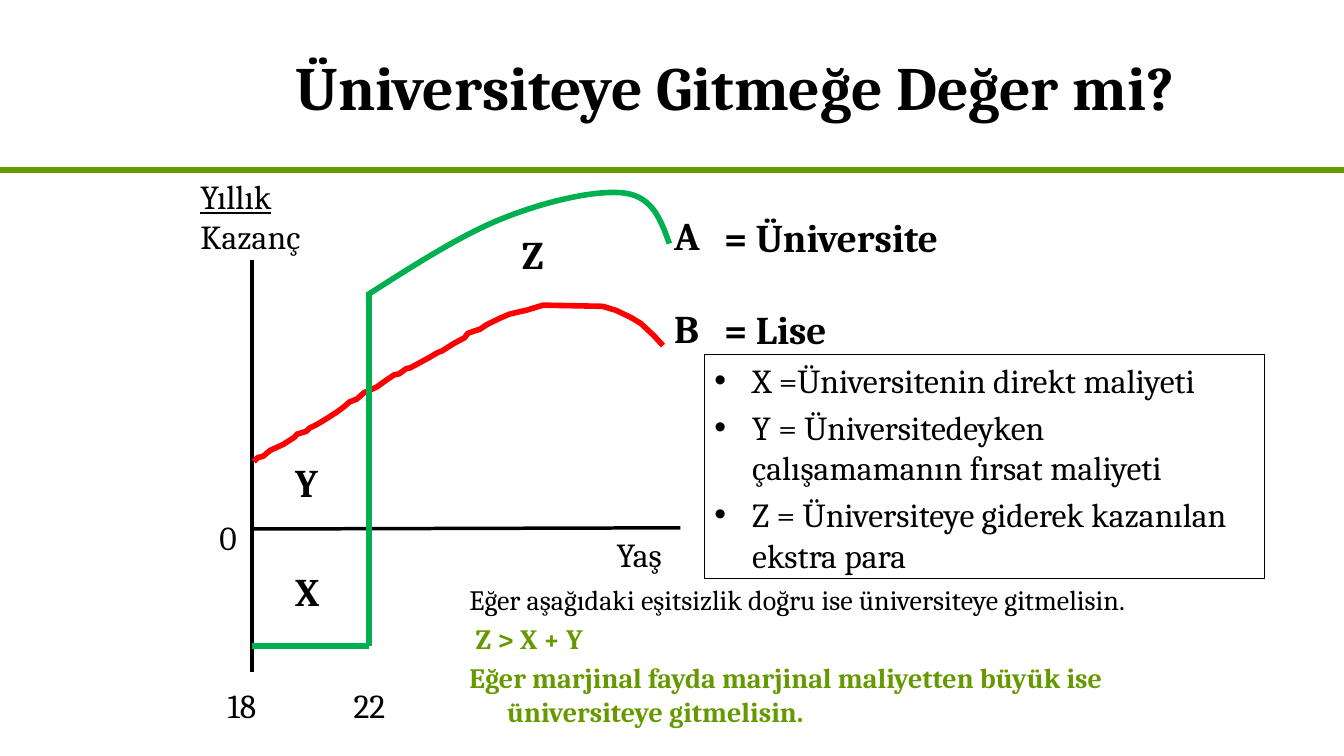
from dataclasses import dataclass

from pptx import Presentation
from pptx.dml.color import RGBColor
from pptx.enum.shapes import MSO_CONNECTOR as Connector
from pptx.enum.text import MSO_ANCHOR as Anchor, MSO_AUTO_SIZE as AutoSize, PP_ALIGN as Align
from pptx.oxml.ns import qn
from pptx.util import Cm, Pt


@dataclass(frozen=True)
class Theme:
    """Colours, font and type sizes of the slide."""
    font: str = "Cambria"
    ink: str = "000000"
    olive: str = "669900"
    university: str = "00B050"
    school: str = "FF0000"
    title: int = 44
    letter: int = 28
    body: int = 24
    note: int = 20


THEME = Theme()

AXIS_LABELS = [
    ("22", 2.31, 10.59, 1.7, 1.27),
    ("18", -0.86, 10.59, 1.7, 1.27),
    ("Yaş", 8.94, 6.78, 2.34, 1.27),
    ("0", -1.07, 6.35, 1.07, 1.27),
]
CURVE_LABELS = [
    ("X", 0.84, 7.62, 1.7, 1.44),
    ("Y", 0.84, 4.88, 1.7, 1.44),
    ("Z", 6.55, -0.86, 1.7, 1.44),
    ("A", 10.39, -1.35, 1.7, 1.44),
    ("B", 10.39, 0.99, 1.7, 1.44),
    (" = Üniversite", 11.43, -1.3, 6.35, 1.44),
    (" = Lise", 11.43, 1.02, 7.82, 1.44),
]
SCHOOL_EARNINGS = [
    (0.05, 5.08), (0.15, 4.98), (0.28, 4.95), (0.46, 4.8), (0.79, 4.65),
    (1.07, 4.47), (1.14, 4.39), (1.37, 4.32), (1.45, 4.24), (1.65, 4.14),
    (1.9, 3.99), (2.13, 3.84), (2.31, 3.71), (2.46, 3.58), (2.64, 3.51),
    (2.82, 3.35), (3.15, 3.2), (3.33, 3.07), (3.58, 2.9), (3.71, 2.87),
    (3.89, 2.74), (3.99, 2.72), (4.27, 2.57), (4.47, 2.46), (4.67, 2.34),
    (4.8, 2.29), (5.08, 2.11), (5.36, 1.96), (5.44, 1.85), (5.64, 1.78),
    (5.74, 1.75), (5.92, 1.63), (6.25, 1.47), (6.48, 1.37), (6.68, 1.32),
    (6.91, 1.27), (7.24, 1.17), (7.34, 1.14), (8.84, 1.17), (9.17, 1.27),
    (9.55, 1.45), (9.8, 1.6), (9.96, 1.75), (10.13, 1.91), (10.36, 2.16),
]
UNIVERSITY_EARNINGS = [
    [(2.9, 0.89), (4.09, 0.13), (5.28, -0.64), (6.38, -1.07)],
    [(6.38, -1.07), (7.47, -1.5), (8.74, -1.78), (9.42, -1.68)],
    [(9.42, -1.68), (10.11, -1.57), (10.31, -0.99), (10.52, -0.41)],
]


def place(shape, box):
    """Move a shape to a box given in centimetres."""
    for side, length in zip(("left", "top", "width", "height"), box):
        setattr(shape, side, Cm(length))


def write(paragraph, text, size, color=THEME.ink, **formats):
    """Append a formatted run to a paragraph."""
    run = paragraph.add_run()
    run.text = text
    run.font.color.rgb = RGBColor.from_string(color)
    for name, value in {"name": THEME.font, "size": Pt(size), **formats}.items():
        setattr(run.font, name, value)


def set_line(shape, color, width):
    """Give a shape its line colour and width."""
    shape.line.color.rgb = RGBColor.from_string(color)
    shape.line.width = Pt(width)


def add_line(slide, start, end, color, width):
    """Draw a straight line without a shadow."""
    line = slide.shapes.add_connector(
        Connector.STRAIGHT, *(Cm(value) for value in (*start, *end)))
    set_line(line, color, width)
    effects = line._element.spPr
    effects.append(effects.makeelement(qn("a:effectLst"), {}))


def add_curve(slide, points, color):
    """Draw an open curve through points."""
    start, *rest = [(Cm(x), Cm(y)) for x, y in points]
    builder = slide.shapes.build_freeform(*start)
    builder.add_line_segments(rest, close=False)
    curve = builder.convert_to_shape()
    curve.fill.background()
    curve.shadow.inherit = False
    set_line(curve, color, 4)


def add_text(slide, box, auto_size=AutoSize.SHAPE_TO_FIT_TEXT):
    """Add a wrapping text box and return its frame."""
    frame = slide.shapes.add_textbox(*map(Cm, box)).text_frame
    frame.word_wrap = True
    frame.auto_size = auto_size
    return frame


def bezier(p0, p1, p2, p3, steps=16):
    """Return points along a cubic curve, the first one left out."""
    times = [step / steps for step in range(1, steps + 1)]
    return [tuple((1 - t) ** 3 * a + 3 * t * (1 - t) ** 2 * b
                  + 3 * t ** 2 * (1 - t) * c + t ** 3 * d
                  for a, b, c, d in zip(p0, p1, p2, p3)) for t in times]


def fill_heading(slide, box):
    """Place the title and the rule under it."""
    left, top, width, height = box
    heading = slide.shapes.title
    place(heading, box)
    heading.text_frame.vertical_anchor = Anchor.MIDDLE
    paragraph = heading.text_frame.paragraphs[0]
    paragraph.alignment = Align.CENTER
    write(paragraph, "Üniversiteye Gitmeğe Değer mi?", THEME.title, bold=True)
    rule = top + height
    add_line(slide, (0, rule), (left + width, rule), THEME.olive, 4.5)


def fill_legend(slide, box):
    """List the meaning of the areas in an outlined box."""
    legend = slide.placeholders[1]
    place(legend, box)
    set_line(legend, THEME.ink, 0.75)
    frame = legend.text_frame
    frame.auto_size = AutoSize.NONE
    meanings = ["X =Üniversitenin direkt maliyeti",
                "Y = Üniversitedeyken çalışamamanın fırsat maliyeti",
                "Z = Üniversiteye giderek kazanılan ekstra para"]
    for index, meaning in enumerate(meanings):
        paragraph = frame.add_paragraph() if index else frame.paragraphs[0]
        write(paragraph, meaning, THEME.body)


def draw_earnings(slide, box):
    """Draw the earnings diagram with its axes in the box."""
    left, top, width, height = box
    zero, graduation, cost, entry = 6.78, 2.95, 9.73, 0.84

    def at(x, y):
        """Shift a point of the diagram onto the slide."""
        return left + x, top + y

    add_line(slide, at(0, 0), at(0, height), THEME.ink, 2.5)
    add_line(slide, at(0, zero), at(width, zero - 0.03), THEME.ink, 2.5)
    add_curve(slide, [at(*point) for point in SCHOOL_EARNINGS], THEME.school)
    add_line(slide, at(0, cost), at(graduation, cost), THEME.university, 4)
    add_line(slide, at(graduation, cost), at(graduation, entry), THEME.university, 4)
    points = UNIVERSITY_EARNINGS[0][:1]
    for part in UNIVERSITY_EARNINGS:
        points = points + bezier(*part)
    add_curve(slide, [at(*point) for point in points], THEME.university)

    for labels, size, bold in ((AXIS_LABELS, THEME.body, False),
                               (CURVE_LABELS, THEME.letter, True)):
        for text, x, y, *extent in labels:
            frame = add_text(slide, (*at(x, y), *extent))
            write(frame.paragraphs[0], text, size, bold=bold)
    earnings = add_text(slide, (*at(-1.55, -2.24), 4.65, 2.31)).paragraphs[0]
    write(earnings, "Yıllık", THEME.body, underline=True)
    write(earnings, " Kazanç", THEME.body)


def write_conclusion(slide, box):
    """Write the decision rule with hanging indents."""
    frame = add_text(slide, box, AutoSize.NONE)
    lines = [("Eğer aşağıdaki eşitsizlik doğru ise üniversiteye gitmelisin.", THEME.ink, False),
             (" Z > X + Y", THEME.olive, True),
             ("Eğer marjinal fayda marjinal maliyetten büyük ise üniversiteye gitmelisin.",
              THEME.olive, True)]
    for index, (text, color, bold) in enumerate(lines):
        paragraph = frame.add_paragraph() if index else frame.paragraphs[0]
        paragraph.space_before = Pt(THEME.note * 0.2)
        properties = paragraph._p.get_or_add_pPr()
        for name, value in {"marL": Cm(0.95), "indent": Cm(-0.95)}.items():
            properties.set(name, str(int(value)))
        write(paragraph, text, THEME.note, color, bold=bold)


def main():
    """Build the slide and save it."""
    deck = Presentation()
    deck.slide_width, deck.slide_height = Cm(33.87), Cm(19.05)
    slide = deck.slides.add_slide(deck.slide_layouts[1])
    fill_heading(slide, (3.18, 0.05, 30.69, 4.24))
    fill_legend(slide, (17.75, 8.94, 14.12, 5.64))
    draw_earnings(slide, (6.35, 6.55, 10.8, 10.39))
    write_conclusion(slide, (11.58, 14.55, 18.57, 4.7))
    deck.save("out.pptx")


if __name__ == "__main__":
    main()
